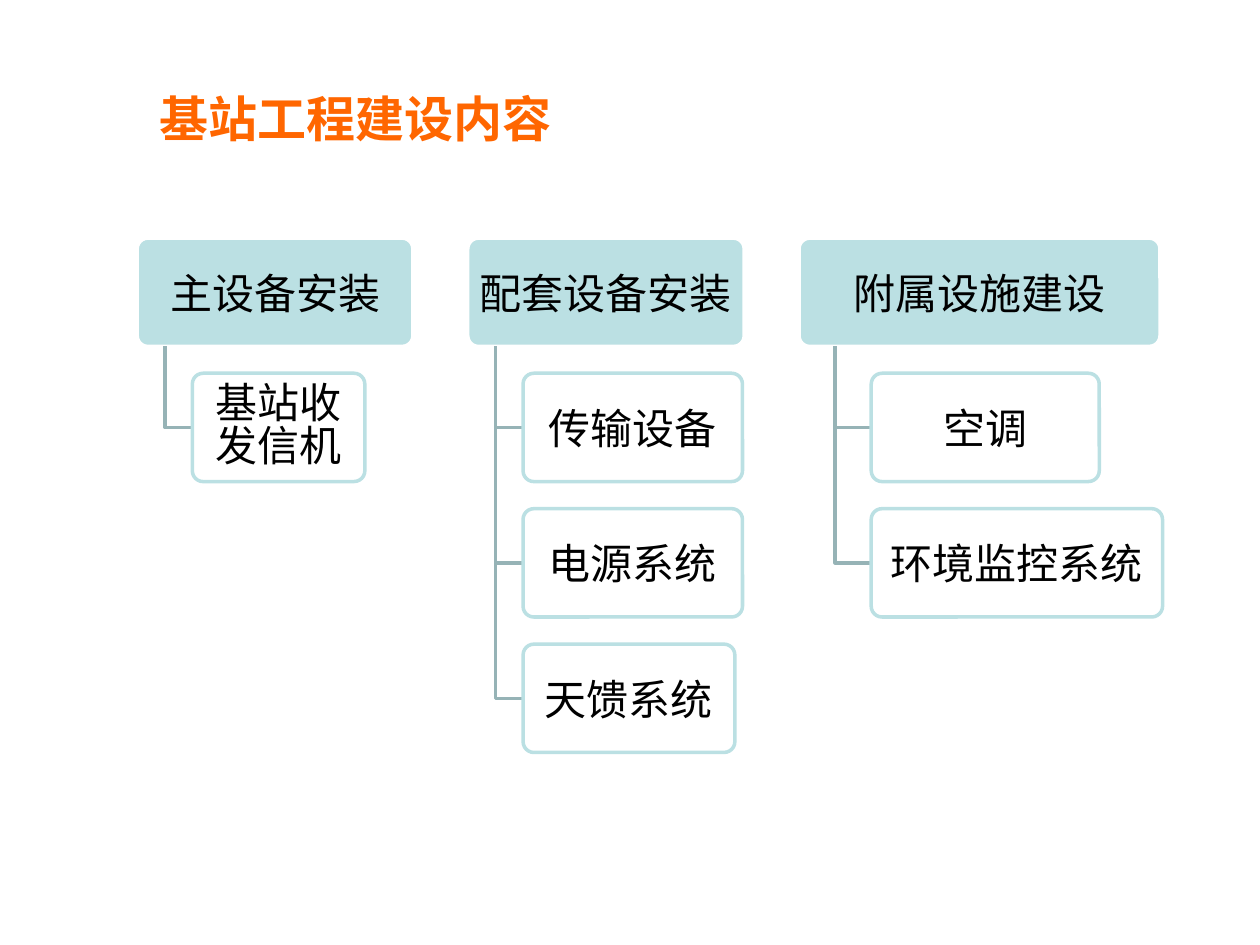
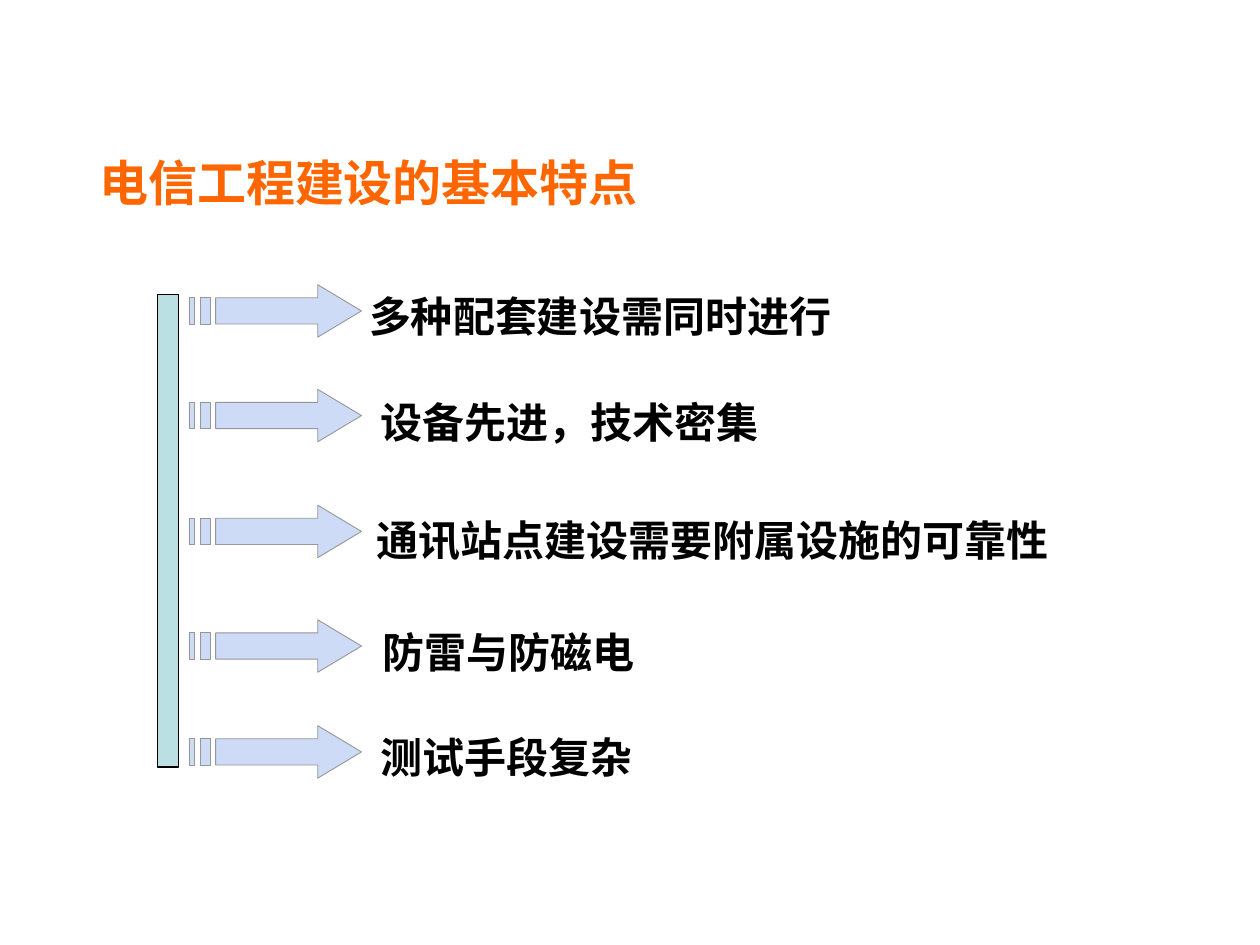
from lxml.etree import SubElement
from pptx import Presentation
from pptx.dml.color import RGBColor
from pptx.enum.shapes import MSO_SHAPE as Shape
from pptx.enum.text import MSO_ANCHOR as Anchor, PP_ALIGN as Align
from pptx.oxml.ns import qn
from pptx.util import Pt

COLORS = {
    "title": "FF6600", "text": "000000", "white": "FFFFFF", "teal": "BBE0E3",
    "branch": "96B3B6", "arrow": "CEDBF7", "arrow_edge": "969696",
}
CJK_FONT = "Noto Sans CJK SC"
BODY_SIZE = 24

# Each branch: heading, left, width, then (label, width) of its children
SCOPE_TITLE = "基站工程建设内容"
BRANCHES = [
    ("主设备安装", 78.4, 157.6, [("基站收发信机", 98.6)]),
    ("配套设备安装", 267.3, 158, [("传输设备", 125.4), ("电源系统", 125.4), ("天馈系统", 121)]),
    ("附属设施建设", 456.6, 206.3, [("空调", 130.3), ("环境监控系统", 166.5)]),
]
HEADING_TOP, NODE_HEIGHT = 136.1, 61.9
CHILD_TOP, CHILD_STEP = 213.3, 77.4

# Each feature: text, arrow top, text left, text top, text width
FEATURES_TITLE = "电信工程建设的基本特点"
FEATURES = [
    ("多种配套建设需同时进行", 162.7, 203.8, 162.7, 308),
    ("设备先进，技术密集", 222.5, 210.2, 223.2, 256),
    ("通讯站点建设需要附属设施的可靠性", 288.7, 208.1, 290.2, 410),
    ("防雷与防磁电", 354.2, 211.3, 354.2, 182),
    ("测试手段复杂", 414.7, 210.2, 414.7, 229),
]
ARROW_LEFT, ARROW_WIDTH, ARROW_HEIGHT = 108, 98.6, 30
SHAFT_LEFT, HEAD_LEFT = 15.3, 73.6
STRIPES = [(6.5, 12.4), (0, 3)]


def rgb(name):
    return RGBColor.from_string(COLORS[name])


def paint(shape, fill, line, width):
    shape.shadow.inherit = False
    if fill:
        shape.fill.solid()
        shape.fill.fore_color.rgb = rgb(fill)
    else:
        shape.fill.background()
    shape.line.color.rgb = rgb(line)
    shape.line.width = Pt(width)


def write(shape, text, font=CJK_FONT, size=BODY_SIZE, color="text", bold=False,
          align=Align.LEFT, anchor=Anchor.TOP, spacing=None):
    frame = shape.text_frame
    frame.word_wrap = True
    frame.vertical_anchor = anchor
    para = frame.paragraphs[0]
    para.alignment = align
    para.line_spacing = spacing
    span = para.add_run()
    span.text = text
    for name, value in {"name": font, "size": Pt(size), "bold": bold}.items():
        setattr(span.font, name, value)
    span.font.color.rgb = rgb(color)
    SubElement(span.font._element, qn("a:ea"), typeface=CJK_FONT)


def add_text(page, left, top, width, height, text, **style):
    box = page.shapes.add_textbox(Pt(left), Pt(top), Pt(width), Pt(height))
    write(box, text, **style)


def add_title(page, left, top, width, height, text, **style):
    add_text(page, left, top, width, height, text, size=28, color="title", bold=True, **style)


def add_outline(page, contours, closed):
    """Draw one freeform from lists of (x, y) points."""
    builder = None
    for contour in contours:
        (x, y), *rest = [(Pt(px), Pt(py)) for px, py in contour]
        if builder is None:
            builder = page.shapes.build_freeform(x, y)
        else:
            builder.move_to(x, y)
        builder.add_line_segments(rest, close=closed)
    return builder.convert_to_shape()


def add_node(page, left, top, width, text, fill, line):
    node = page.shapes.add_shape(Shape.ROUNDED_RECTANGLE, Pt(left), Pt(top),
                                 Pt(width), Pt(NODE_HEIGHT))
    node.adjustments[0] = 0.1
    paint(node, fill, line, 2)
    frame = node.text_frame
    for side, inset in {"left": 3.6, "right": 3.6, "top": 2.2, "bottom": 2.2}.items():
        setattr(frame, f"margin_{side}", Pt(inset))
    wraps = len(text) * BODY_SIZE > width
    write(node, text, align=Align.CENTER, anchor=Anchor.MIDDLE, spacing=0.84 if wraps else None)
    return node


def add_branch(page, heading, left, width, children):
    add_node(page, left, HEADING_TOP, width, heading, "teal", "white")
    trunk, child_left = left + width * 0.1, left + width * 0.2
    for row, (label, child_width) in enumerate(children):
        top = CHILD_TOP + row * CHILD_STEP
        middle = top + NODE_HEIGHT / 2
        elbow = [(trunk, HEADING_TOP + NODE_HEIGHT), (trunk, middle), (child_left, middle)]
        paint(add_outline(page, [elbow], False), None, "branch", 2)
        node = add_node(page, child_left, top, child_width, label, "white", "teal")
        fill_color = node._element.spPr.find(qn("a:solidFill"))[0]
        SubElement(fill_color, qn("a:alpha"), val="90000")


def add_striped_arrow(page, top):
    bottom = top + ARROW_HEIGHT
    upper, lower = top + ARROW_HEIGHT / 4, bottom - ARROW_HEIGHT / 4
    shaft, head = ARROW_LEFT + SHAFT_LEFT, ARROW_LEFT + HEAD_LEFT
    tip = (ARROW_LEFT + ARROW_WIDTH, top + ARROW_HEIGHT / 2)
    contours = [[(head, top), (head, upper), (shaft, upper), (shaft, lower),
                 (head, lower), (head, bottom), tip]]
    for start, end in STRIPES:
        x1, x2 = ARROW_LEFT + start, ARROW_LEFT + end
        contours.append([(x1, upper), (x1, lower), (x2, lower), (x2, upper)])
    paint(add_outline(page, contours, True), "arrow", "arrow_edge", 0.5)


def build_scope(page):
    add_title(page, 84.2, 44.6, 551.5, 45.4, SCOPE_TITLE, anchor=Anchor.MIDDLE)
    for branch in BRANCHES:
        add_branch(page, *branch)


def build_features(page):
    add_title(page, 49.7, 90, 338.4, 28, FEATURES_TITLE, font="Arial", spacing=0.8)
    bar = page.shapes.add_shape(Shape.RECTANGLE, Pt(90), Pt(168.3), Pt(12.2), Pt(270))
    paint(bar, "teal", "text", 0.75)
    for text, arrow_top, left, top, width in FEATURES:
        add_striped_arrow(page, arrow_top)
        add_text(page, left, top, width, 36.7, text, font="Arial", bold=True)


def main():
    deck = Presentation()
    deck.slide_width, deck.slide_height = Pt(720), Pt(540)
    for build in (build_scope, build_features):
        build(deck.slides.add_slide(deck.slide_layouts[6]))
    deck.save("out.pptx")


if __name__ == "__main__":
    main()
